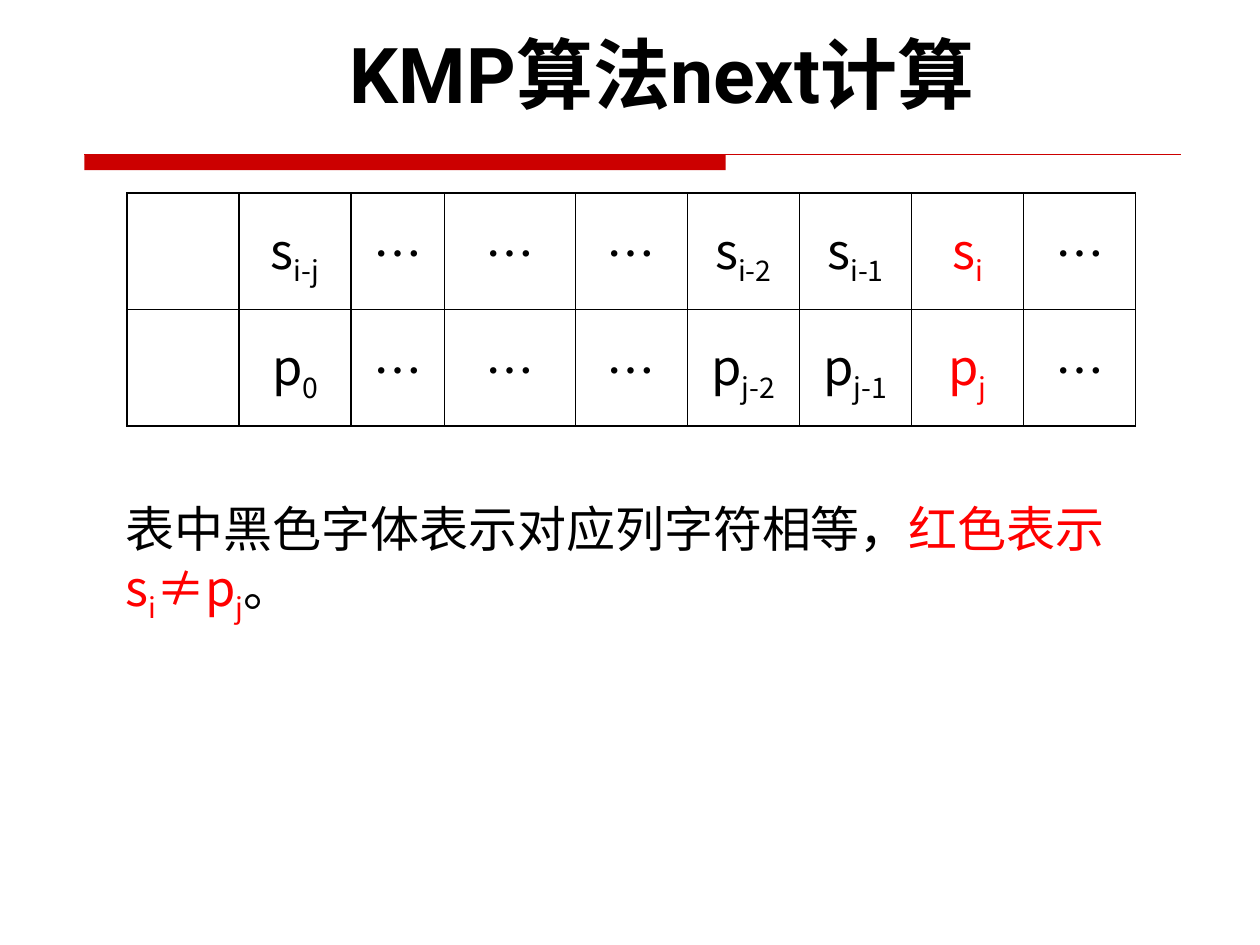
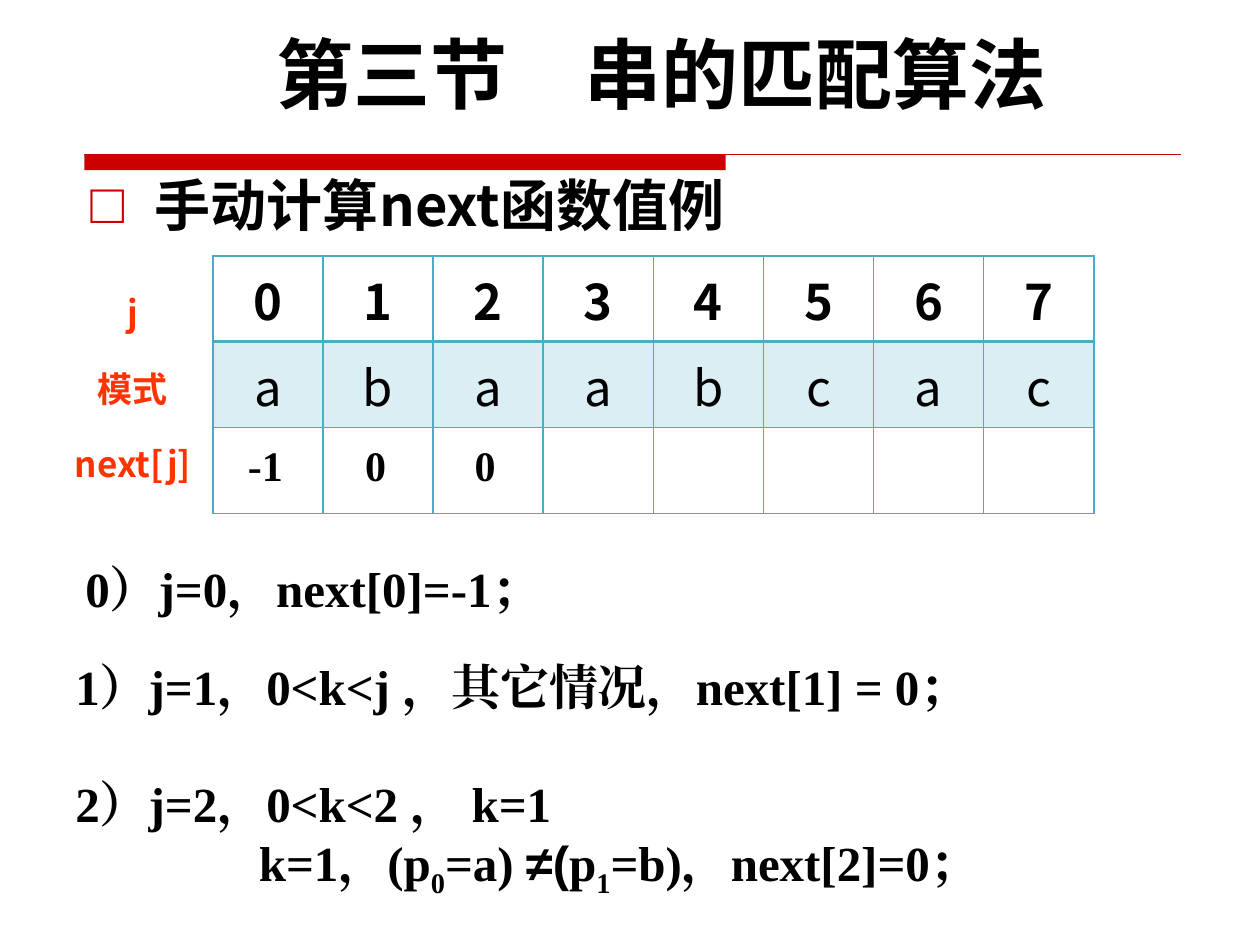
"""Build two slides on computing the next function of the KMP algorithm."""
from lxml.etree import SubElement
from pptx import Presentation
from pptx.dml.color import RGBColor
from pptx.enum.shapes import MSO_CONNECTOR, MSO_SHAPE
from pptx.enum.text import MSO_ANCHOR, MSO_AUTO_SIZE, PP_ALIGN
from pptx.oxml.ns import qn
from pptx.util import Cm, Pt

BLACK = RGBColor(0x00, 0x00, 0x00)
WHITE = RGBColor(0xFF, 0xFF, 0xFF)
RED = RGBColor(0xFF, 0x00, 0x00)
BAND_RED = RGBColor(0xCC, 0x00, 0x00)
LABEL_RED = RGBColor(0xFF, 0x33, 0x00)
TEAL = RGBColor(0x4B, 0xAC, 0xC6)
PALE_TEAL = RGBColor(0xDB, 0xEE, 0xF4)

TITLE = {"name": "Roboto", "size": Pt(44), "bold": True, "color": BLACK}
HEADING = {"name": "Noto Sans CJK SC", "size": Pt(32), "bold": True, "color": BLACK}
SANS = {"name": "Noto Sans CJK SC", "size": Pt(28), "bold": False, "color": BLACK}
SANS_BOLD = {**SANS, "bold": True}
LABEL = {**SANS_BOLD, "size": Pt(20), "color": LABEL_RED}
STEP = {"name": "Times New Roman", "size": Pt(28), "bold": True, "color": BLACK}
VALUE = {**STEP, "size": Pt(24)}


def write(paragraph, pieces, style):
    """Add runs given as text or (text, changes to the style)."""
    for piece in pieces:
        text, changes = (piece, {}) if isinstance(piece, str) else piece
        run = paragraph.add_run()
        run.text = text
        for key, value in {**style, **changes}.items():
            if key == "color":
                run.font.color.rgb = value
            elif key == "baseline":
                run.font._element.set("baseline", str(value))
            else:
                setattr(run.font, key, value)
        SubElement(run.font._element, qn("a:ea"), typeface=run.font.name)


def sub(text, **changes):
    """Return a subscript piece."""
    return text, {"baseline": -25000, **changes}


def place(shape, box):
    """Move and size a shape to a box in centimetres."""
    shape.left, shape.top, shape.width, shape.height = (Cm(v) for v in box)


def format_frame(frame, wrap=True, anchor=MSO_ANCHOR.TOP):
    """Set wrapping and anchoring of a text frame."""
    settings = {"auto_size": MSO_AUTO_SIZE.NONE, "word_wrap": wrap, "vertical_anchor": anchor}
    for key, value in settings.items():
        setattr(frame, key, value)


def add_text(slide, box, lines, style, **frame_settings):
    """Add a text box with one paragraph per line and return its paragraphs."""
    frame = slide.shapes.add_textbox(*(Cm(v) for v in box)).text_frame
    format_frame(frame, **frame_settings)
    for number, pieces in enumerate(lines):
        paragraph = frame.add_paragraph() if number else frame.paragraphs[0]
        write(paragraph, pieces, style)
    return frame.paragraphs


def add_band(slide, left, top, width):
    """Draw the red bar and the thin rule below the title."""
    bar = slide.shapes.add_shape(MSO_SHAPE.RECTANGLE, Cm(left), Cm(top), Cm(12.93), Cm(0.31))
    bar.shadow.inherit = False
    bar.fill.solid()
    bar.fill.fore_color.rgb = BAND_RED
    bar.line.fill.background()
    rule = slide.shapes.add_connector(
        MSO_CONNECTOR.STRAIGHT, Cm(left), Cm(top), Cm(left + width), Cm(top))
    rule.line.color.rgb = BAND_RED
    rule.line.width = Pt(0.75)
    SubElement(rule._element.spPr, qn("a:effectLst"))


def start_slide(deck, layout, title):
    """Add a slide with the shared band and title."""
    slide = deck.slides.add_slide(deck.slide_layouts[layout])
    add_band(slide, 1.7, 3.12, 22.1)
    heading = slide.shapes.title
    place(heading, (1.6, 0.41, 23.5, 2.13))
    format_frame(heading.text_frame)
    paragraph = heading.text_frame.paragraphs[0]
    paragraph.alignment = PP_ALIGN.CENTER
    write(paragraph, [title], TITLE)
    return slide


def set_border(cell, color, **widths):
    """Give a cell solid borders; widths are points by side."""
    for side in "LRTB":
        line = SubElement(cell._tc.get_or_add_tcPr(), qn(f"a:ln{side}"),
                          w=str(Pt(widths.get(side, 1))))
        SubElement(SubElement(line, qn("a:solidFill")), qn("a:srgbClr"), val=str(color))


def add_grid(slide, left, top, columns, row_height, rows, border, looks):
    """Add a bordered table; looks gives style, fill and border widths by row."""
    table = slide.shapes.add_table(
        len(rows), len(columns), Cm(left), Cm(top),
        Cm(sum(columns)), Cm(row_height * len(rows))).table
    table.first_row = table.horz_banding = False
    for column, width in zip(table.columns, columns):
        column.width = Cm(width)
    for row, contents, (style, fill, widths) in zip(table.rows, rows, looks):
        row.height = Cm(row_height)
        for cell, pieces in zip(row.cells, contents):
            set_border(cell, border, **widths)
            if fill is None:
                cell.fill.background()
            else:
                cell.fill.solid()
                cell.fill.fore_color.rgb = fill
            cell.vertical_anchor = MSO_ANCHOR.MIDDLE
            paragraph = cell.text_frame.paragraphs[0]
            paragraph.alignment = PP_ALIGN.CENTER
            write(paragraph, pieces, style)


def add_heading(slide, box, text):
    """Fill the body placeholder with one square-bulleted heading."""
    body = slide.placeholders[1]
    place(body, box)
    format_frame(body.text_frame)
    paragraph = body.text_frame.paragraphs[0]
    paragraph.line_spacing = 0.8
    paragraph.space_before = Pt(0)
    properties = paragraph._p.get_or_add_pPr()
    properties.set("marL", str(Cm(1.3)))
    properties.set("indent", str(Cm(-1.3)))
    color = SubElement(properties, qn("a:buClr"))
    SubElement(color, qn("a:srgbClr"), val=str(BAND_RED))
    SubElement(properties, qn("a:buChar"), char="□")
    write(paragraph, [text], HEADING)


def match_row(letter, first, index):
    """Return the cells of a string aligned at the mismatch position."""
    red = {"color": RED}
    return [[], [letter, sub(first)], ["…"], ["…"], ["…"],
            [letter, sub(f"{index}-2")], [letter, sub(f"{index}-1")],
            [(letter, red), sub(index, **red)], ["…"]]


def build_mismatch_slide(deck):
    """Show the text and pattern aligned up to the mismatch."""
    slide = start_slide(deck, 5, "KMP算法next计算")
    columns = [2.26, 2.26, 1.88, 2.64] + [2.26] * 5
    rows = [match_row("s", "i-j", "i"), match_row("p", "0", "j")]
    add_grid(slide, 2.56, 3.89, columns, 2.35, rows, BLACK, [(SANS, WHITE, {})] * 2)
    red = {"color": RED}
    add_text(slide, (2.29, 9.93, 21, 2.64), [[
        "表中黑色字体表示对应列字符相等，", ("红色表示s", red), sub("i", **red),
        ("≠p", red), sub("j", **red), "。"]], SANS)


def add_next_table(slide, left, top):
    """Add the pattern table with its row labels and known next values."""
    rows = [list("01234567"), list("abaabcac"), [""] * 8]
    looks = [(SANS_BOLD, None, {"B": 2}), (SANS, PALE_TEAL, {"T": 2}), (SANS, None, {})]
    cells = [[[text] if text else [] for text in row] for row in rows]
    add_grid(slide, left, top, [2.22] * 8, 1.73, cells, TEAL, looks)
    labels = add_text(slide, (left - 3.66, top - 0.41, 4.1, 6.15),
                      [["j"], ["模式"], ["next[j]"]], LABEL,
                      wrap=False, anchor=MSO_ANCHOR.MIDDLE)
    for label in labels:
        label.alignment = PP_ALIGN.CENTER
    for label in labels[1:]:
        label.space_before = Pt(19)
    for offset, value in zip((0.46, 2.82, 5.03), ("-1", "0", "0")):
        add_text(slide, (left + offset, top + 3.58, 1.6, 1.28), [[value]], VALUE)


def build_example_slide(deck):
    """Work out the first next values by hand."""
    slide = start_slide(deck, 1, "第三节　串的匹配算法")
    add_heading(slide, (1.57, 3.58, 23.6, 1.4), "手动计算next函数值例")
    add_next_table(slide, 4.29, 5.16)
    add_text(slide, (1.47, 11.13, 21.62, 1.45), [["0）j=0，next[0]=-1；"]], STEP)
    add_text(slide, (1.27, 13.11, 21.62, 1.45),
             [["1）j=1，0<k<j ，其它情况，next[1] = 0；"]], STEP)
    comparison = ["k=1，(p", sub("0"), "=a) ", ("≠(", {"name": "Arial"}),
                  "p", sub("1"), "=b)，next[2]=0；"]
    steps = add_text(slide, (1.27, 15.47, 23.6, 2.64),
                     [["2）j=2，0<k<2 ， k=1"], comparison], STEP)
    steps[1]._p.get_or_add_pPr().set("marL", str(Cm(3.7)))


def main():
    """Build the deck and save it."""
    deck = Presentation()
    deck.slide_width, deck.slide_height = Cm(25.4), Cm(19.05)
    build_mismatch_slide(deck)
    build_example_slide(deck)
    deck.save("out.pptx")


if __name__ == "__main__":
    main()
